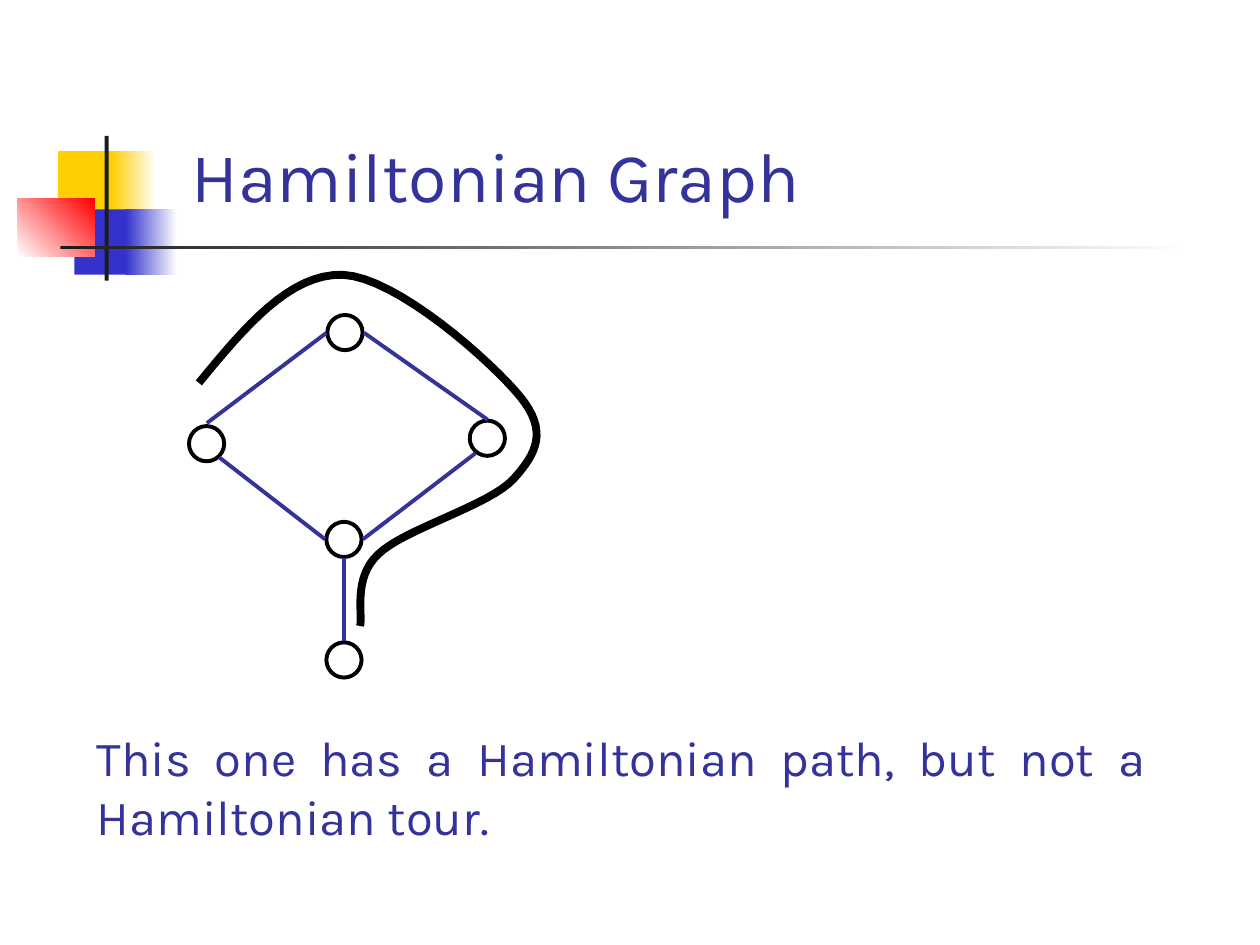
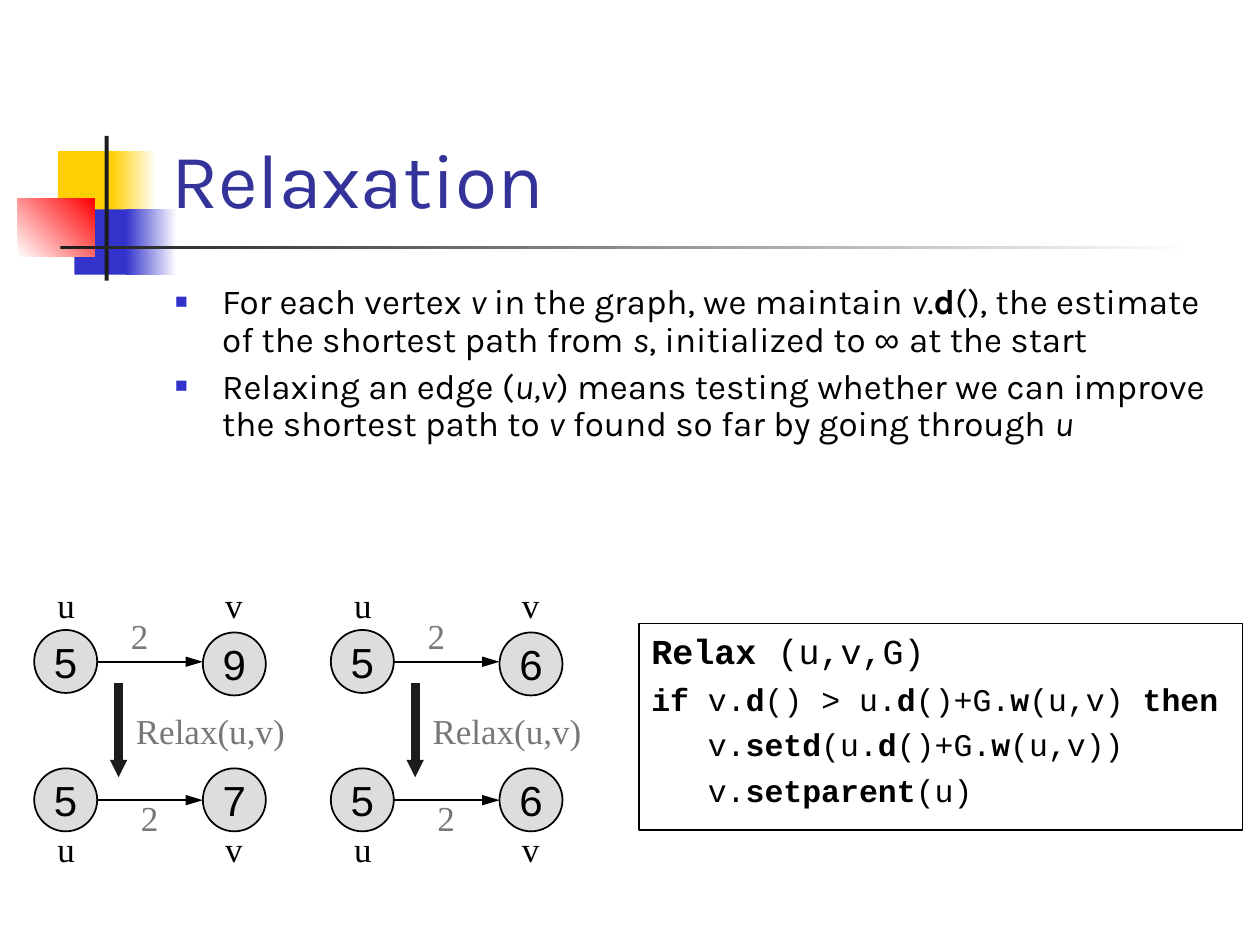
from dataclasses import dataclass
from typing import NamedTuple, Optional

import lxml.etree
import pptx
import pptx.dml.color
import pptx.enum.shapes
import pptx.enum.text
import pptx.oxml.ns
import pptx.util

Cm = pptx.util.Cm
Pt = pptx.util.Pt
Shapes = pptx.enum.shapes.MSO_SHAPE
Align = pptx.enum.text.PP_ALIGN
Anchor = pptx.enum.text.MSO_ANCHOR

COLORS = {
    "title": "333399", "black": "000000", "white": "FFFFFF", "yellow": "FFCF01",
    "blue": "3333CC", "red": "FF0000", "rule": "1C1C1C", "node": "DDDDDD", "gray": "777777",
}
TITLE_FONT, LABEL_FONT, NODE_FONT, CODE_FONT = "Karla", "Times New Roman", "Arial", "Courier New"


class Box(NamedTuple):
    """Left, top, width and height in centimetres."""
    left: float
    top: float
    width: float
    height: float


class Run(NamedTuple):
    text: str
    bold: bool = False
    italic: bool = False
    font: Optional[str] = None


@dataclass
class Band:
    box: Box
    color: str
    end_color: Optional[str] = None
    angle: float = 0


@dataclass
class Line:
    start: tuple
    end: tuple
    color: str = "black"
    width: float = 1
    head: Optional[tuple] = None  # arrowhead width and length


@dataclass
class Label:
    text: str
    box: Box
    color: str = "black"


@dataclass
class CodeLine:
    runs: list
    size: float = 18
    indent: float = 0


BANDS = [
    Band(Box(1.17, 3.05, 1.22, 1.32), "yellow"),
    Band(Box(2.24, 3.05, 0.91, 1.32), "yellow", "white"),
    Band(Box(1.5, 4.22, 1.17, 1.32), "blue"),
    Band(Box(2.54, 4.22, 1.02, 1.32), "blue", "white"),
    Band(Box(0.36, 4.01, 1.55, 1.17), "white", "red", 45),
    Band(Box(2.11, 2.74, 0.08, 2.92), "rule"),
    Band(Box(1.22, 4.95, 22.86, 0.08), "rule", "white"),
]

# Hamiltonian graph
VERTEX_SIZE = 0.71
VERTICES = [(6.6, 6.35), (3.81, 8.59), (9.47, 8.48), (6.58, 10.52), (6.58, 12.95)]
EDGES = [
    ((6.58, 6.71), (4.17, 8.53)), ((7.34, 6.71), (9.83, 8.46)),
    ((6.55, 10.87), (4.42, 9.22)), ((7.32, 10.87), (9.58, 9.14)),
    ((6.93, 11.25), (6.93, 12.93)),
]
PATH_START = (4.01, 7.72)
PATH_CURVES = [
    ((4.93, 6.6), (5.84, 5.51), (6.91, 5.54)),
    ((8, 5.59), (9.91, 7.29), (10.49, 8)),
    ((11.05, 8.69), (10.82, 9.14), (10.36, 9.65)),
    ((9.88, 10.19), (8.13, 10.67), (7.62, 11.18)),
    ((7.11, 11.66), (7.32, 12.4), (7.26, 12.62)),
]
CURVE_STEPS = 16

# Relaxation
BULLETS = [
    [Run("For each vertex "), Run("v ", italic=True), Run("in the graph, we maintain "),
     Run("v", italic=True), Run("."), Run("d", bold=True),
     Run("(), the estimate of the shortest path from "), Run("s", italic=True),
     Run(", initialized to "), Run("∞ ", font="Arial"), Run("at the start")],
    [Run("Relaxing an edge ("), Run("u,v", italic=True),
     Run(") means testing whether we can improve the shortest path to "),
     Run("v", italic=True), Run(" found so far by going through "), Run("u", italic=True)],
]
CODE = [
    CodeLine([Run("Relax ", True), Run("(u,v,G)")], size=20),
    CodeLine([Run("if ", True), Run("v."), Run("d", True), Run("() > u."), Run("d", True),
              Run("()+G."), Run("w", True), Run("(u,v) "), Run("then", True)]),
    CodeLine([Run("v."), Run("setd", True), Run("(u."), Run("d", True), Run("()+G."),
              Run("w", True), Run("(u,v))")], indent=1.14),
    CodeLine([Run("v."), Run("setparent", True), Run("(u)")], indent=1.14),
]
PANEL_STEP = 5.98
NODE_SIZE = 1.27
LABEL_HEIGHT = 1.12


def rgb(name: str) -> pptx.dml.color.RGBColor:
    return pptx.dml.color.RGBColor.from_string(COLORS[name])


def add_element(parent, tag: str, **attributes):
    element = lxml.etree.SubElement(parent, pptx.oxml.ns.qn(tag))
    for name, value in attributes.items():
        element.set(name, value)
    return element


def format_run(run, font: str, size: float, color: str) -> None:
    run.font.name = font
    run.font.size = Pt(size)
    run.font.color.rgb = rgb(color)


def add_runs(paragraph, runs: list, font: str, size: float) -> None:
    for item in runs:
        run = paragraph.add_run()
        run.text = item.text
        run.font.bold = item.bold
        run.font.italic = item.italic
        format_run(run, item.font or font, size, "black")


def next_paragraph(text_frame, index: int):
    return text_frame.add_paragraph() if index else text_frame.paragraphs[0]


def add_shape(slide, kind, box: Box, fill: Optional[str] = None, line_width: float = 0):
    shape = slide.shapes.add_shape(kind, *map(Cm, box))
    shape.shadow.inherit = False
    if fill:
        shape.fill.solid()
        shape.fill.fore_color.rgb = rgb(fill)
    else:
        shape.fill.background()
    if line_width:
        shape.line.color.rgb = rgb("black")
        shape.line.width = Pt(line_width)
    else:
        shape.line.fill.background()
    return shape


def add_band(slide, band: Band) -> None:
    shape = add_shape(slide, Shapes.RECTANGLE, band.box, band.color)
    if band.end_color:
        shape.fill.gradient()
        shape.fill.gradient_angle = band.angle
        for stop, color in zip(shape.fill.gradient_stops, (band.color, band.end_color)):
            stop.color.rgb = rgb(color)


def add_text(slide, text: str, box: Box, font: str, size: float, color: str,
             anchor=Anchor.TOP, align=Align.LEFT) -> None:
    text_frame = slide.shapes.add_textbox(*map(Cm, box)).text_frame
    text_frame.word_wrap = True
    text_frame.vertical_anchor = anchor
    text_frame.text = text
    paragraph = text_frame.paragraphs[0]
    paragraph.alignment = align
    format_run(paragraph.runs[0], font, size, color)


def add_line(slide, line: Line) -> None:
    connector = slide.shapes.add_connector(
        pptx.enum.shapes.MSO_CONNECTOR.STRAIGHT, *map(Cm, (*line.start, *line.end)))
    connector.line.color.rgb = rgb(line.color)
    connector.line.width = Pt(line.width)
    if line.head:
        width, length = line.head
        add_element(connector.line._get_or_add_ln(), "a:tailEnd",
                    type="triangle", w=width, len=length)
    add_element(connector._element.spPr, "a:effectLst")


def add_node(slide, text: str, left: float, top: float) -> None:
    shape = add_shape(slide, Shapes.OVAL, Box(left, top, NODE_SIZE, NODE_SIZE), "node", 1)
    text_frame = shape.text_frame
    text_frame.word_wrap = False
    text_frame.vertical_anchor = Anchor.MIDDLE
    text_frame.text = text
    text_frame.paragraphs[0].alignment = Align.CENTER
    format_run(text_frame.paragraphs[0].runs[0], NODE_FONT, 24, "black")


def add_hamiltonian_path(slide) -> None:
    points = []
    start = PATH_START
    for first, second, end in PATH_CURVES:
        for step in range(1, CURVE_STEPS + 1):
            t = step / CURVE_STEPS
            weights = ((1 - t) ** 3, 3 * t * (1 - t) ** 2, 3 * t * t * (1 - t), t ** 3)
            corners = (start, first, second, end)
            points.append(tuple(
                Cm(sum(w * corner[axis] for w, corner in zip(weights, corners)))
                for axis in (0, 1)))
        start = end
    builder = slide.shapes.build_freeform(*map(Cm, PATH_START))
    builder.add_line_segments(points, close=False)
    shape = builder.convert_to_shape()
    shape.shadow.inherit = False
    shape.fill.background()
    shape.line.color.rgb = rgb("black")
    shape.line.width = Pt(4.5)


def add_bullets(slide) -> None:
    text_frame = slide.shapes.add_textbox(*map(Cm, Box(3.28, 5.61, 21.59, 6.76))).text_frame
    text_frame.word_wrap = True
    for index, runs in enumerate(BULLETS):
        paragraph = next_paragraph(text_frame, index)
        paragraph.line_spacing = 0.9
        paragraph.space_before = Pt(5)
        properties = paragraph._p.get_or_add_pPr()
        properties.set("marL", str(Cm(0.95)))
        properties.set("indent", str(-Cm(0.95)))
        add_element(add_element(properties, "a:buClr"), "a:srgbClr", val=COLORS["blue"])
        add_element(properties, "a:buSzPct", val="60000")
        add_element(properties, "a:buFont", typeface="Arial")
        add_element(properties, "a:buChar", char="■")
        add_runs(paragraph, runs, TITLE_FONT, 20)


def add_relax_panel(slide, left: float, before: str, after: str) -> None:
    u_left, v_left = left + 0.69, left + 4.09
    for text, x, y in (("5", u_left, 12.7), (before, v_left, 12.75),
                       ("5", u_left, 15.49), (after, v_left, 15.49)):
        add_node(slide, text, x, y)
    for y in (13.34, 16.13):
        add_line(slide, Line((u_left + NODE_SIZE, y), (v_left, y), head=("med", "lg")))
    add_line(slide, Line((left + 2.39, 13.77), (left + 2.39, 15.67), "rule", 5, ("sm", "sm")))
    labels = [Label(name, Box(left + x, y, 0.84, LABEL_HEIGHT))
              for y in (11.63, 16.56) for name, x in (("u", 0.91), ("v", 4.29))]
    labels += [
        Label("2", Box(left + 2.39, 12.27, 1.27, LABEL_HEIGHT), "gray"),
        Label("2", Box(left + 2.59, 15.93, 0.84, LABEL_HEIGHT), "gray"),
        Label("Relax(u,v)", Box(left + 2.49, 14.17, 3.81, LABEL_HEIGHT), "gray"),
    ]
    for label in labels:
        add_text(slide, label.text, label.box, LABEL_FONT, 20, label.color)


def add_code(slide) -> None:
    shape = add_shape(slide, Shapes.RECTANGLE, Box(12.88, 12.57, 12.17, 4.17), line_width=1)
    text_frame = shape.text_frame
    text_frame.word_wrap = True
    text_frame.vertical_anchor = Anchor.TOP
    for index, line in enumerate(CODE):
        paragraph = next_paragraph(text_frame, index)
        paragraph.alignment = Align.LEFT
        paragraph.space_before = Pt(line.size / 4)
        paragraph._p.get_or_add_pPr().set("marL", str(Cm(line.indent)))
        add_runs(paragraph, line.runs, CODE_FONT, line.size)


def add_slide(presentation):
    slide = presentation.slides.add_slide(presentation.slide_layouts[6])
    for band in BANDS:
        add_band(slide, band)
    return slide


def build_hamiltonian(presentation) -> None:
    slide = add_slide(presentation)
    for left, top in VERTICES:
        add_shape(slide, Shapes.OVAL, Box(left, top, VERTEX_SIZE, VERTEX_SIZE), line_width=2.25)
    for start, end in EDGES:
        add_line(slide, Line(start, end, "title", 2.25))
    add_text(slide, "This one has a Hamiltonian path, but not a Hamiltonian tour.",
             Box(1.7, 14.17, 21.64, 3), TITLE_FONT, 28, "title", Anchor.BOTTOM, Align.JUSTIFY)
    add_hamiltonian_path(slide)
    add_text(slide, "Hamiltonian Graph", Box(3.61, 2.54, 18.42, 1.96), TITLE_FONT, 40, "title")


def build_relaxation(presentation) -> None:
    slide = add_slide(presentation)
    add_text(slide, "Relaxation", Box(3.2, 0.58, 21.64, 4.06), TITLE_FONT, 44, "title",
             Anchor.BOTTOM)
    add_bullets(slide)
    for index, (before, after) in enumerate((("9", "7"), ("6", "6"))):
        add_relax_panel(slide, index * PANEL_STEP, before, after)
    add_code(slide)


def main() -> None:
    presentation = pptx.Presentation()
    presentation.slide_width, presentation.slide_height = Cm(25.4), Cm(19.05)
    build_hamiltonian(presentation)
    build_relaxation(presentation)
    presentation.save("out.pptx")


if __name__ == "__main__":
    main()
